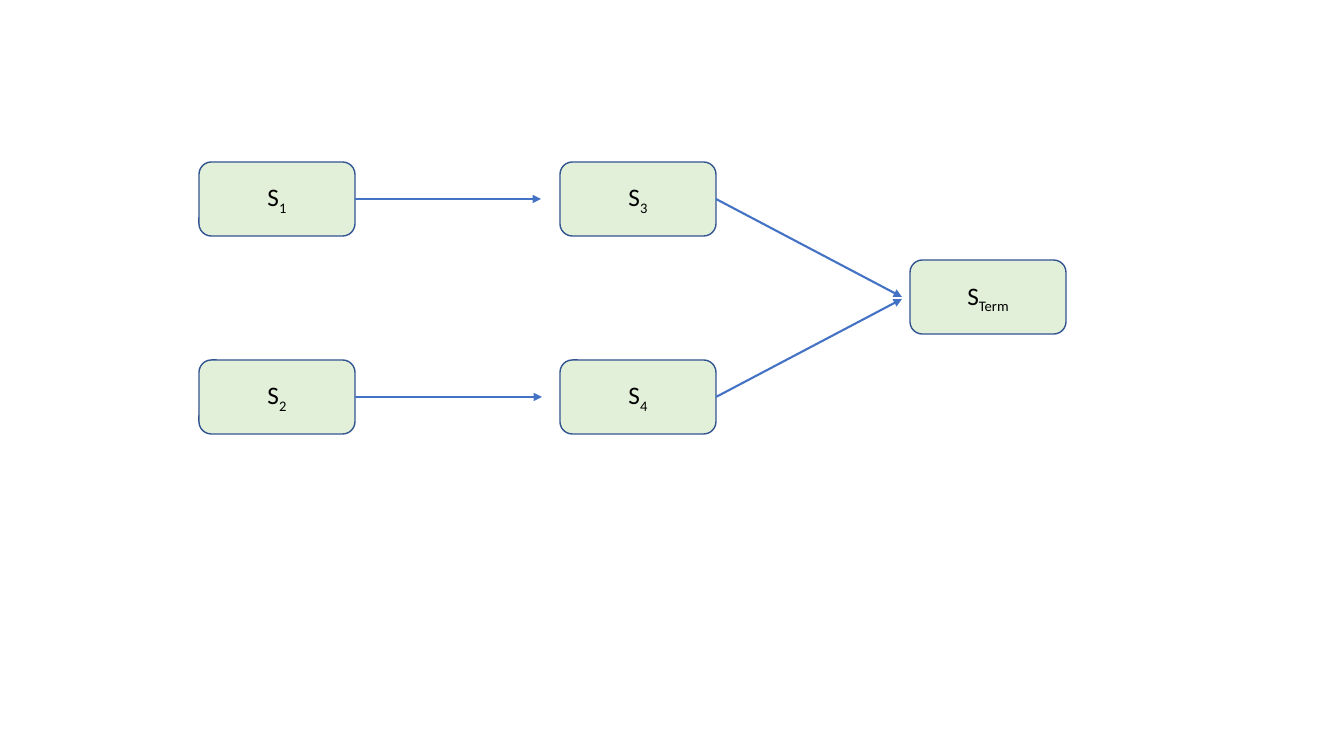
from lxml.etree import SubElement
from pptx import Presentation
from pptx.dml.color import RGBColor
from pptx.enum.shapes import MSO_CONNECTOR, MSO_SHAPE
from pptx.enum.text import MSO_ANCHOR, PP_ALIGN
from pptx.oxml.ns import qn
from pptx.util import Pt

SCALE = 914400 / 100.8
WIDE, HIGH = 156, 74
RIGHT = 3
FONT = {"name": "Calibri", "size": Pt(18)}
FRAME = {"vertical_anchor": MSO_ANCHOR.MIDDLE, "word_wrap": True}

# Name, left and top within the diagram
STATES = [("1", 0, 0), ("2", 0, 198), ("3", 361, 0),
          ("4", 361, 198), ("Term", 711, 98)]
# Starting state and arrow tip within the diagram
ARROWS = [("1", 342, 37), ("2", 343, 235), ("3", 703, 135), ("4", 703, 137)]


def px(size):
    return round(size * SCALE)


def paint(color, tone):
    color.rgb = RGBColor.from_string(tone)


def style(item, values):
    for key, value in values.items():
        setattr(item, key, value)


def state(slide, name, left, top):
    box = slide.shapes.add_shape(MSO_SHAPE.ROUNDED_RECTANGLE,
                                 px(left), px(top), px(WIDE), px(HIGH))
    box.shadow.inherit = False
    box.fill.solid()
    paint(box.fill.fore_color, "E2F0D9")
    paint(box.line.color, "325491")
    box.line.width = Pt(1)

    # Label with a subscript
    style(box.text_frame, FRAME)
    para = box.text_frame.paragraphs[0]
    para.alignment = PP_ALIGN.CENTER
    for text in ("S", name):
        run = para.add_run()
        run.text = text
        style(run.font, FONT)
        paint(run.font.color, "000000")
    run.font._element.set("baseline", "-25000")
    return box


def arrow(slide, box, x, y):
    link = slide.shapes.add_connector(MSO_CONNECTOR.STRAIGHT,
                                      box.left + box.width,
                                      box.top + box.height // 2, px(x), px(y))
    link.begin_connect(box, RIGHT)
    paint(link.line.color, "4472C4")
    link.line.width = Pt(1.5)
    SubElement(link.line._get_or_add_ln(), qn("a:tailEnd"), type="triangle")
    SubElement(link._element.spPr, qn("a:effectLst"))


def graph(slide, left, top):
    boxes = {name: state(slide, name, left + x, top + y)
             for name, x, y in STATES}
    for name, x, y in ARROWS:
        arrow(slide, boxes[name], left + x, top + y)


def main():
    deck = Presentation()
    deck.slide_width, deck.slide_height = px(1344), px(756)
    slide = deck.slides.add_slide(deck.slide_layouts[6])
    graph(slide, 199, 162)
    deck.save("out.pptx")


if __name__ == "__main__":
    main()
